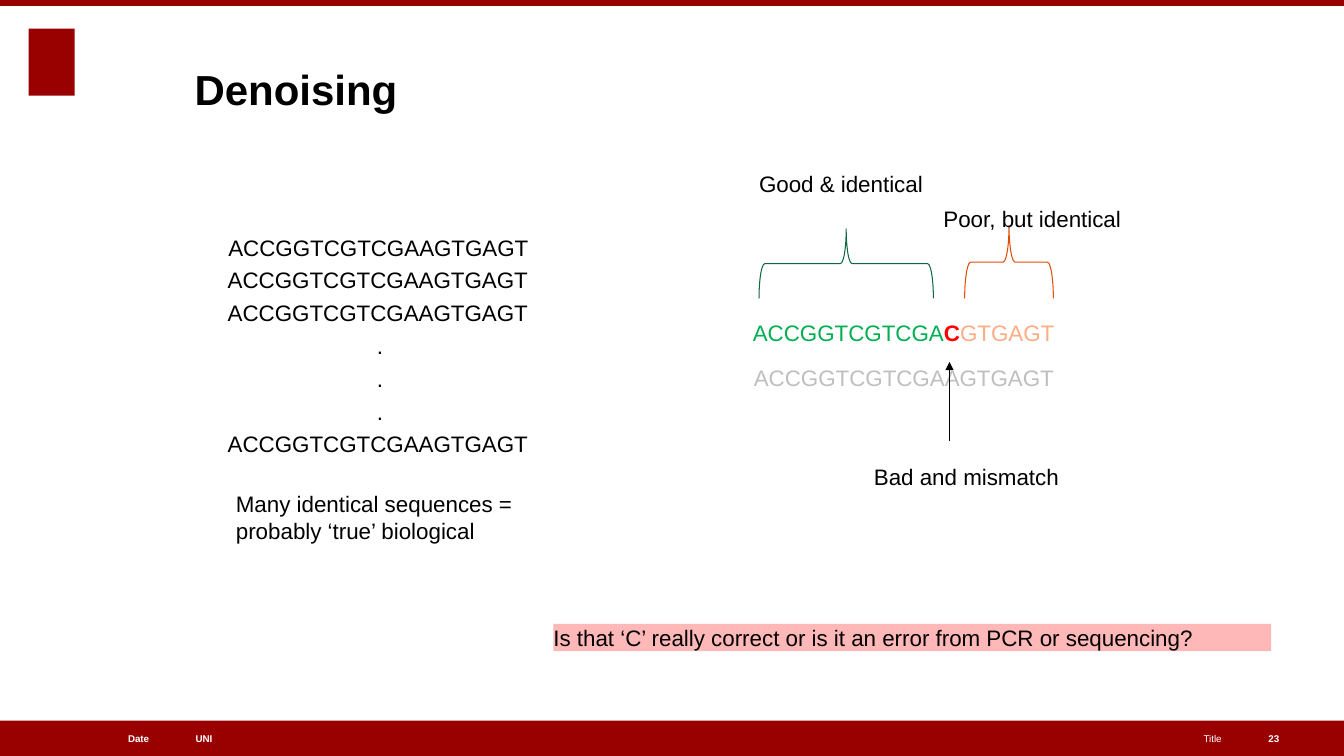
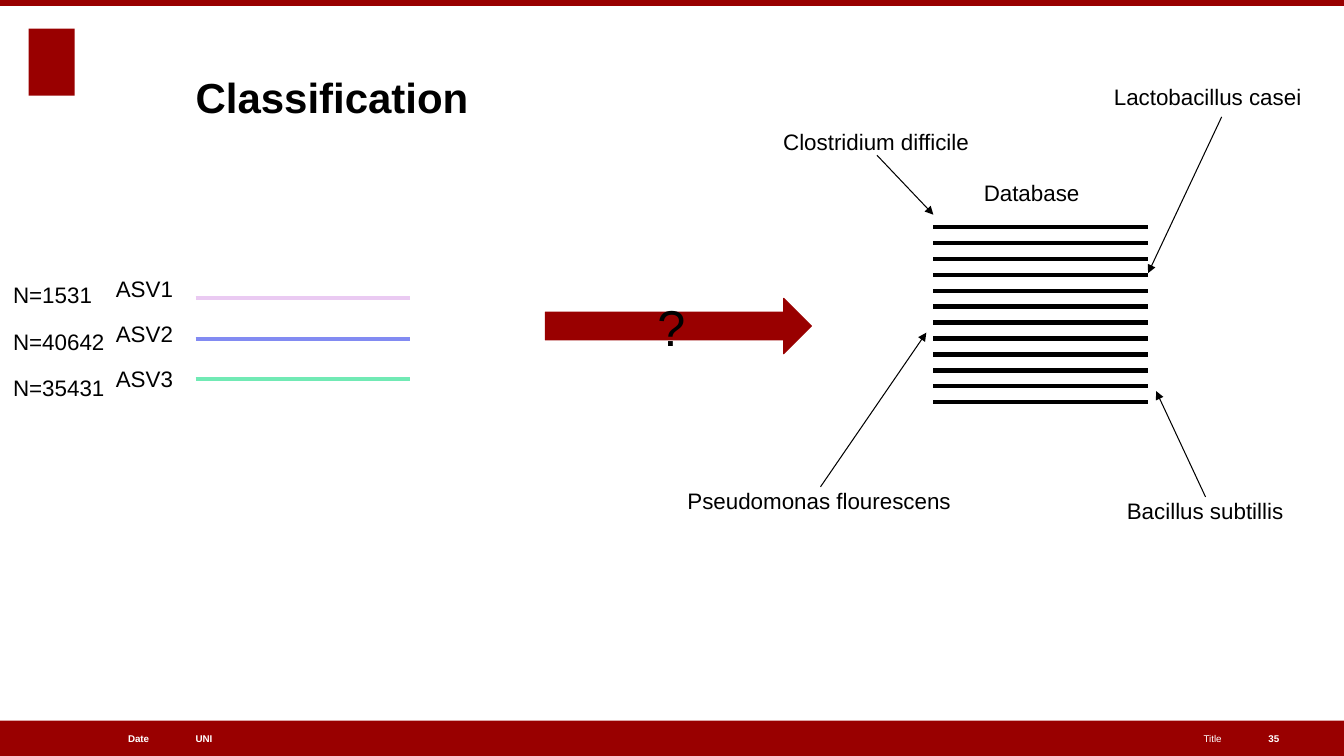
from dataclasses import dataclass

from lxml.etree import SubElement
from pptx import Presentation
from pptx.dml.color import RGBColor
from pptx.enum.shapes import MSO_CONNECTOR as Connector, MSO_SHAPE as Shape
from pptx.enum.text import MSO_ANCHOR as Anchor, MSO_AUTO_SIZE as AutoSize, PP_ALIGN as Align
from pptx.oxml.ns import qn
from pptx.util import Emu, Pt

COLUMNS, ROWS, CELL = 160, 90, 76200
FONT = "Arial"
BODY, LINE_ROWS = 16, 3.24
COLORS = {
    "brand": "990000", "white": "FFFFFF", "black": "000000",
    "faded": "BFBFBF", "good": "00B050", "bad": "FF0000", "poor": "FDAD85",
    "good_brace": "0F6841", "poor_brace": "E14C03", "question": "FFB8B8",
    "asv1": "EACAF2", "asv2": "828BF2", "asv3": "71EAB5",
}
SEQUENCE = "ACCGGTCGTCGAAGTGAGT"


def cells(count):
    """Turn a number of grid cells into a length."""
    return Emu(round(count * CELL))


@dataclass
class Box:
    """A rectangle on the slide grid, in columns and rows."""
    col: float
    row: float
    cols: float
    rows: float = LINE_ROWS

    def area(self, col, row, cols, rows=LINE_ROWS):
        """Return a box placed from this box's top left corner."""
        return Box(self.col + col, self.row + row, cols, rows)

    def point(self, col, row):
        """Return a grid point counted from this box's top left corner."""
        return self.col + col, self.row + row

    def frame(self):
        """Return left, top, width and height as lengths."""
        return [cells(count) for count in (self.col, self.row, self.cols, self.rows)]


def color(name):
    """Look up a palette colour."""
    return RGBColor.from_string(COLORS[name])


def style_run(run, size, ink, bold):
    """Give a run its font, size, colour and weight."""
    run.font.name, run.font.size, run.font.bold = FONT, Pt(size), bold
    run.font.color.rgb = color(ink)


def fill_text(frame, lines, size=BODY, ink="black", bold=False, align=Align.LEFT,
              anchor=Anchor.TOP, pad=False, before=4.3, spacing=None):
    """Write lines of text into a frame and format them."""
    frame.vertical_anchor = anchor
    frame.margin_left = frame.margin_right = cells(1.2 if pad else 0)
    frame.margin_top = frame.margin_bottom = cells(0.6 if pad else 0)
    frame.text = "\n".join(lines)
    for paragraph in frame.paragraphs:
        paragraph.alignment, paragraph.space_before = align, Pt(before)
        paragraph.line_spacing = spacing
        for run in paragraph.runs:
            style_run(run, size, ink, bold)


def add_text(shapes, box, *lines, wrap=True, grow=True, **style):
    """Add a text box and return its frame."""
    frame = shapes.add_textbox(*box.frame()).text_frame
    fill_text(frame, lines, **style)
    frame.word_wrap = wrap
    frame.auto_size = AutoSize.SHAPE_TO_FIT_TEXT if grow else AutoSize.NONE
    return frame


def add_block(shapes, kind, box, fill=None, line=None):
    """Add a preset shape with an optional fill and thin outline."""
    block = shapes.add_shape(kind, *box.frame())
    block.shadow.inherit = False
    if fill:
        block.fill.solid()
        block.fill.fore_color.rgb = color(fill)
    else:
        block.fill.background()
    if line:
        block.line.color.rgb, block.line.width = color(line), Pt(0.75)
    else:
        block.line.fill.background()
    return block


def add_line(shapes, start, end, ink="black", width=0.75, arrow=False):
    """Draw a straight line, with an arrowhead at its end if asked."""
    line = shapes.add_connector(Connector.STRAIGHT, *map(cells, start + end))
    line.line.color.rgb, line.line.width = color(ink), Pt(width)
    outline = line._element.spPr
    if arrow:
        SubElement(outline.find(qn("a:ln")), qn("a:tailEnd"), type="triangle")
    SubElement(outline, qn("a:effectLst"))


def add_footer(shapes, box, number):
    """Fill the footer band with its four labels."""
    add_block(shapes, Shape.RECTANGLE, box, "brand")
    labels = (
        ("UNI", 23.28, 44.64, Align.LEFT, True),
        ("Date", 3.24, 14.52, Align.RIGHT, True),
        ("Title", 73.32, 72.12, Align.RIGHT, False),
        (str(number), 151, 5.64, Align.LEFT, True),
    )
    for label, col, cols, align, bold in labels:
        add_text(shapes, box.area(col, 0, cols, box.rows), label, grow=False, size=7,
                 ink="white", bold=bold, align=align, anchor=Anchor.MIDDLE, before=0)


def start_slide(deck, title, title_box, number):
    """Add a slide with the shared bands, emblem, title and footer."""
    shapes = deck.slides.add_slide(deck.slide_layouts[6]).shapes
    add_block(shapes, Shape.RECTANGLE, Box(3.4, 3.4, 5.5, 8), "brand")
    add_footer(shapes, Box(0, 85.8, COLUMNS, 4.2), number)
    add_block(shapes, Shape.RECTANGLE, Box(0, 0, COLUMNS, 0.7), "brand")
    add_text(shapes, title_box, title, grow=False, size=30, bold=True,
             anchor=Anchor.MIDDLE, before=0)
    return shapes


def add_identical_reads(shapes, box):
    """List the many identical sequences with a note below."""
    add_text(shapes, box.area(0, 0, 40, 4.44), SEQUENCE, pad=True)
    reads = add_text(shapes, box.area(1.12, 4.44, 37.92, 22.8),
                     SEQUENCE, SEQUENCE, ".", ".", ".", SEQUENCE)
    for paragraph in reads.paragraphs:
        if paragraph.text == ".":
            paragraph._p.get_or_add_pPr().set("marL", str(cells(17.75)))
    add_text(shapes, box.area(2.08, 31.08, 35.88, 6.48),
             "Many identical sequences = probably ‘true’ biological")


def add_mismatch(shapes, box):
    """Compare one read with the reference and mark its quality."""
    add_text(shapes, box.area(0.56, 22.72, 40, 4.44), SEQUENCE, ink="faded", pad=True)
    read = add_text(shapes, box.area(0.44, 17.44, 39.72, 4.44), "", pad=True).paragraphs[0]
    for bases, ink in (("ACCGGTCGTCGA", "good"), ("C", "bad"), ("GTGAGT", "poor")):
        run = read.add_run()
        run.text = bases
        style_run(run, BODY, ink, ink == "bad")
    braces = (
        ("Good & identical", box.area(2.36, 0.28, 22.68),
         box.area(8.6, 1, 8.28, 20.76), "good_brace"),
        ("Poor, but identical", box.area(24.32, 4.48, 24.6),
         box.area(27.8, 5.92, 8.64, 10.56), "poor_brace"),
    )
    for label, label_box, brace_box, ink in braces:
        add_block(shapes, Shape.LEFT_BRACE, brace_box, line=ink).rotation = 90
        add_text(shapes, label_box, label)
    add_line(shapes, box.point(25.04, 32.56), box.point(25.04, 23.08), arrow=True)
    add_text(shapes, box.area(16.04, 35.08, 22.32), "Bad and mismatch", wrap=False)


def add_question(shapes, box):
    """Ask the closing question on a tinted strip."""
    strip = add_block(shapes, Shape.RECTANGLE, box, "question")
    fill_text(strip.text_frame,
              ["Is that ‘C’ really correct or is it an error from PCR or sequencing?"])


def add_variants(shapes, box):
    """Show each variant with its count and coloured line."""
    for index in range(3):
        variant = f"ASV{index + 1}"
        add_text(shapes, box.area(12.3, 1.76 + 5.34 * index, 6.84), variant, wrap=False)
        row = 4.52 + 4.8 * index
        add_line(shapes, box.point(21.78, row), box.point(47.34, row), variant.lower(), 3)
    add_text(shapes, box.area(0.06, 0.92, 11.04, 15.24),
             "N=1531", "N=40642", "N=35431", wrap=False, spacing=1.5)


def add_lookup_arrow(shapes, box):
    """Point from the variants to the database with a question mark."""
    arrow = add_block(shapes, Shape.RIGHT_ARROW, box, "brand", "brand")
    fill_text(arrow.text_frame, ["?"], size=36, align=Align.CENTER,
              anchor=Anchor.MIDDLE, pad=True)


def add_database(shapes, box):
    """Stack the database entries and point species names at them."""
    species = (
        ("Lactobacillus casei", (51.6, 0.84, 22.56), (64.44, 4.92), (55.68, 23.52)),
        ("Clostridium difficile", (12.24, 6.24, 22.32), (23.4, 9.48), (30.12, 16.56)),
        ("Pseudomonas flourescens", (0.84, 48.96, 31.68), (16.68, 48.96), (29.28, 30.6)),
        ("Bacillus subtillis", (53.16, 50.16, 18.84), (62.52, 50.16), (56.64, 37.56)),
    )
    for name, place, start, end in species:
        add_text(shapes, box.area(*place), name, wrap=False)
        add_line(shapes, box.point(*start), box.point(*end), arrow=True)
    database = shapes.add_group_shape().shapes
    for index in range(12):
        row = 18 + 1.9 * index
        add_line(database, box.point(30.12, row), box.point(55.68, row), width=3)
    add_text(database, box.area(36.12, 12.36, 17.04), "Database")


def build_denoising(deck):
    """Build the denoising slide."""
    shapes = start_slide(deck, "Denoising", Box(23.16, 1.56, 109.32, 18), 23)
    add_identical_reads(shapes, Box(26, 27.24, 40, 38))
    add_mismatch(shapes, Box(88, 20, 50, 39))
    add_question(shapes, Box(65.88, 74.28, 85.44))


def build_classification(deck):
    """Build the classification slide."""
    shapes = start_slide(deck, "Classification", Box(23.28, 2.52, 109.32, 18), 35)
    add_variants(shapes, Box(1.5, 31, 48, 17))
    add_lookup_arrow(shapes, Box(64.92, 35.52, 31.68, 6.6))
    add_database(shapes, Box(81, 9, 75, 54))


def main():
    """Build the deck and save it."""
    deck = Presentation()
    deck.slide_width, deck.slide_height = cells(COLUMNS), cells(ROWS)
    build_denoising(deck)
    build_classification(deck)
    deck.save("out.pptx")


if __name__ == "__main__":
    main()
